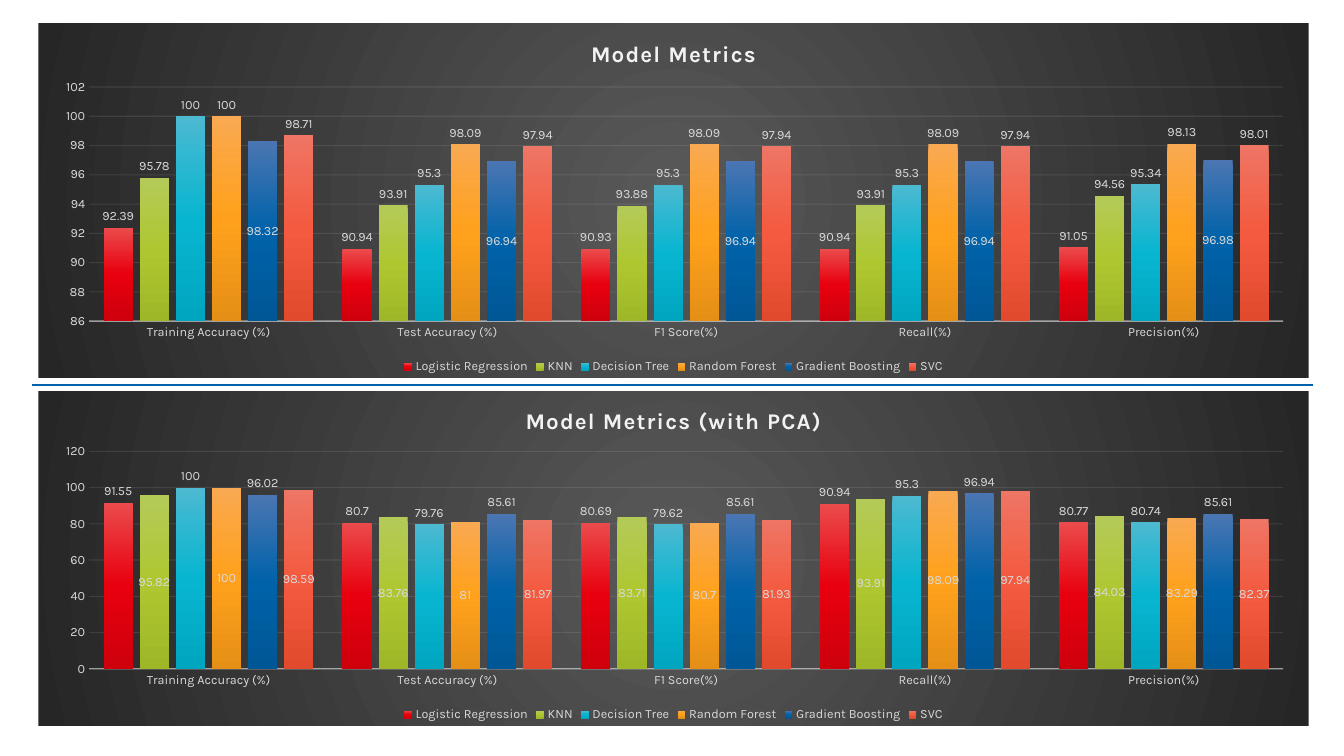
from lxml.etree import SubElement
from pptx import Presentation
from pptx.chart.data import CategoryChartData
from pptx.dml.color import RGBColor
from pptx.enum.chart import XL_CHART_TYPE, XL_LABEL_POSITION, XL_LEGEND_POSITION, XL_TICK_MARK
from pptx.enum.shapes import MSO_CONNECTOR
from pptx.oxml import parse_xml
from pptx.oxml.ns import nsdecls, qn
from pptx.util import Inches, Pt

WIDE, HIGH = 13.33, 7.5
FONT, PALE, GREY, BLUE = "Karla", "F2F2F2", "D9D9D9", "0062A9"
CATS = ["Training Accuracy (%)", "Test Accuracy (%)", "F1 Score(%)", "Recall(%)", "Precision(%)"]
MODELS = {
    "Logistic Regression": ("EB4B4C", "E8000E", "CE000C"),
    "KNN": ("B4CA58", "AEC731", "9EB726"),
    "Decision Tree": ("4CB9D1", "08B5D0", "00A6C0"),
    "Random Forest": ("F9A952", "FFA11C", "E58F17"),
    "Gradient Boosting": ("4B76B3", "0062A9", "005796"),
    "SVC": ("EF7564", "F35A3F", "E24A2E"),
}
FULL = [
    (92.39, 90.94, 90.93, 90.94, 91.05),
    (95.78, 93.91, 93.88, 93.91, 94.56),
    (100, 95.3, 95.3, 95.3, 95.34),
    (100, 98.09, 98.09, 98.09, 98.13),
    (98.32, 96.94, 96.94, 96.94, 96.98),
    (98.71, 97.94, 97.94, 97.94, 98.01),
]
PCA = [
    (91.55, 80.7, 80.69, 90.94, 80.77),
    (95.82, 83.76, 83.71, 93.91, 84.03),
    (100, 79.76, 79.62, 95.3, 80.74),
    (100, 81, 80.7, 98.09, 83.29),
    (96.02, 85.61, 85.61, 96.94, 85.61),
    (98.59, 81.97, 81.93, 97.94, 82.37),
]


def color(code):
    return RGBColor.from_string(code)


def style(font, size=9, tone=GREY, bold=False):
    font.name, font.size, font.bold = FONT, Pt(size), bold
    font.color.rgb = color(tone)


def write(frame, text, space=0, **form):
    run = frame.paragraphs[0].add_run()
    run.text = text
    style(run.font, **form)
    run.font._element.set("spc", str(space))


def blend(tones, shape):
    last = len(tones) - 1
    stops = "".join(
        f'<a:gs pos="{100000 * i // last}"><a:srgbClr val="{tone}"/></a:gs>'
        for i, tone in enumerate(tones))
    return f'<a:gradFill rotWithShape="1"><a:gsLst>{stops}</a:gsLst>{shape}</a:gradFill>'


def stroke(line, tone, width, alpha=None):
    line.color.rgb = color(tone)
    line.width = Pt(width)
    if alpha:
        tint = line._get_or_add_ln().find(".//" + qn("a:srgbClr"))
        SubElement(tint, qn("a:alpha"), val=str(alpha * 1000))


def back(chart):
    ring = ('<a:path path="circle"><a:fillToRect l="50000" t="50000" '
            'r="50000" b="50000"/></a:path>')
    fill = blend(("595959", "262626"), ring)
    chart.element.find(qn("c:txPr")).addprevious(parse_xml(
        f'<c:spPr {nsdecls("c", "a")}>{fill}<a:ln><a:noFill/></a:ln></c:spPr>'))


def place(chart, x, y, w, h):
    area = chart.element.find(".//" + qn("c:plotArea"))
    for old in area.findall(qn("c:layout")):
        area.remove(old)
    modes = '<c:layoutTarget val="inner"/><c:xMode val="edge"/><c:yMode val="edge"/>'
    sizes = "".join(f'<c:{k} val="{v}"/>' for k, v in zip("xywh", (x, y, w, h)))
    area.insert(0, parse_xml(
        f'<c:layout {nsdecls("c")}><c:manualLayout>{modes}{sizes}'
        '</c:manualLayout></c:layout>'))


def axes(chart, low, high, step):
    base, side = chart.category_axis, chart.value_axis
    for axis in (base, side):
        axis.major_tick_mark = axis.minor_tick_mark = XL_TICK_MARK.NONE
        style(axis.tick_labels.font)
    stroke(base.format.line, PALE, 1, 54)
    side.minimum_scale, side.maximum_scale, side.major_unit = low, high, step
    side.format.line.fill.background()
    side.has_major_gridlines = True
    stroke(side.major_gridlines.format.line, PALE, 0.75, 10)


def bars(plot, inner):
    plot.gap_width, plot.overlap, plot.vary_by_categories = 100, -24, False
    for ser, (name, tones) in zip(plot.series, MODELS.items()):
        ser.format.fill.gradient()
        old = ser.format.fill._xPr.find(qn("a:gradFill"))
        new = blend(tones, '<a:lin ang="5400000" scaled="0"/>')
        old.getparent().replace(old, parse_xml(
            new.replace("<a:gradFill", f'<a:gradFill {nsdecls("a")}', 1)))
        tags = ser.data_labels
        tags.show_value = True
        tags.position = (XL_LABEL_POSITION.CENTER if name in inner
                         else XL_LABEL_POSITION.OUTSIDE_END)
        style(tags.font)


def panel(slide, box, title, rows, scale, area, inner):
    data = CategoryChartData()
    data.categories = CATS
    for name, row in zip(MODELS, rows):
        data.add_series(name, row)
    chart = slide.shapes.add_chart(
        XL_CHART_TYPE.COLUMN_CLUSTERED, *map(Inches, box), data).chart
    style(chart.font, size=10, tone="000000")
    back(chart)
    place(chart, *area)
    chart.has_title = True
    chart.chart_title.include_in_layout = False
    write(chart.chart_title.text_frame, title, space=100, size=16, tone=PALE, bold=True)
    chart.has_legend = True
    chart.legend.position = XL_LEGEND_POSITION.BOTTOM
    chart.legend.include_in_layout = False
    style(chart.legend.font)
    axes(chart, *scale)
    bars(chart.plots[0], inner)


def rule(slide, left, right, y):
    line = slide.shapes.add_connector(
        MSO_CONNECTOR.STRAIGHT, *map(Inches, (left, y, right, y)))
    stroke(line.line, BLUE, 1.5)
    SubElement(line._element.spPr, qn("a:effectLst"))


def main():
    deck = Presentation()
    deck.slide_width, deck.slide_height = Inches(WIDE), Inches(HIGH)
    slide = deck.slides.add_slide(deck.slide_layouts[6])
    left, width = 0.38, 12.6
    panel(slide, (left, 0.23, width, 3.52), "Model Metrics", FULL,
          (86, 102, 2), (0.04, 0.18, 0.94, 0.66), ["Gradient Boosting"])
    panel(slide, (left, 3.88, width, 3.32), "Model Metrics (with PCA)", PCA,
          (0, 120, 20), (0.04, 0.18, 0.94, 0.65), ["KNN", "Random Forest", "SVC"])
    rule(slide, 0.32, 13.02, 3.82)
    deck.save("out.pptx")


if __name__ == "__main__":
    main()
